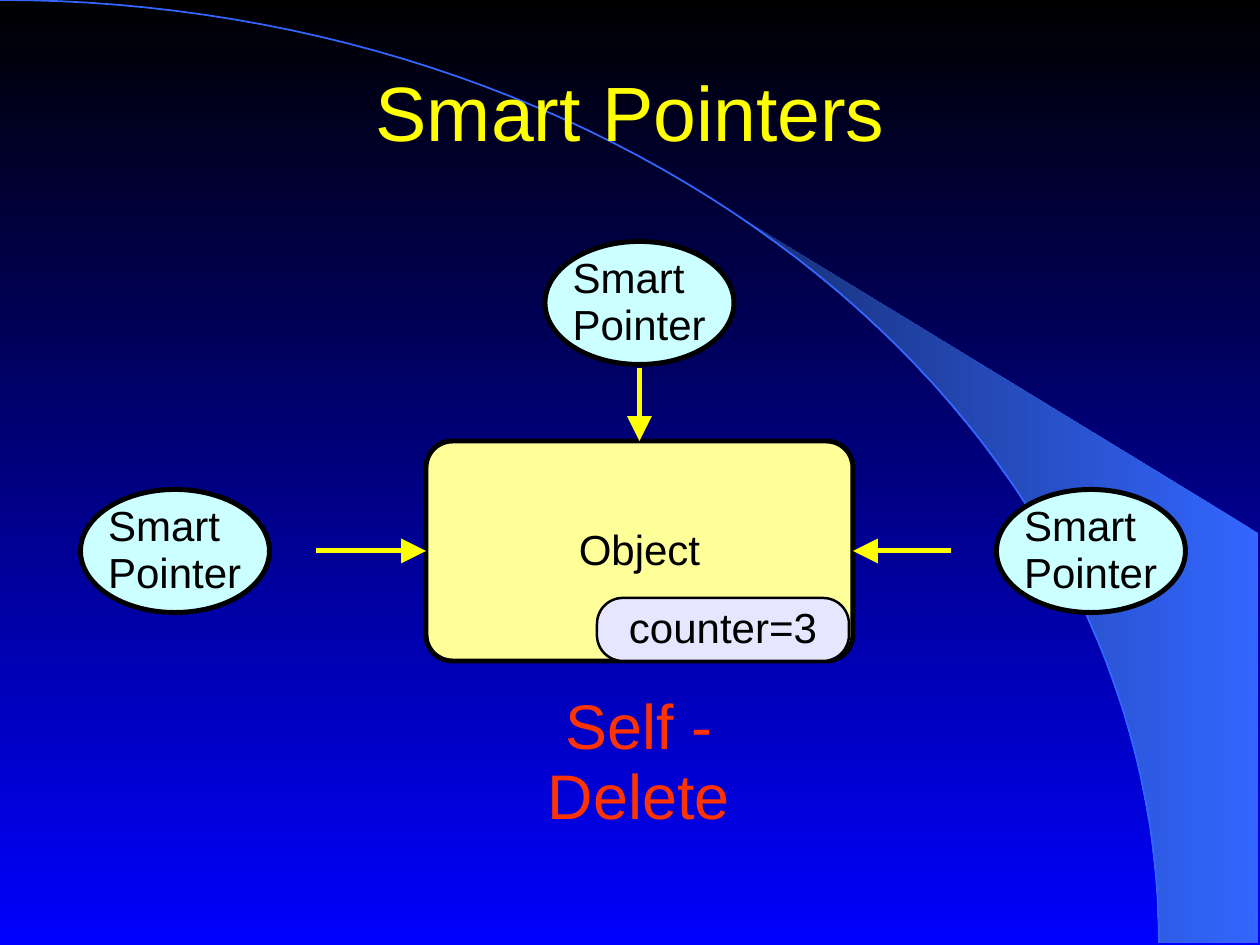
import math

from lxml import etree
from pptx import Presentation
from pptx import util as u
from pptx.dml.color import RGBColor
from pptx.enum import shapes, text
from pptx.oxml.ns import qn

PX = 914400 / 126  # EMU in one px
WIDTH, HEIGHT = 1260, 945

BLACK = RGBColor(0x00, 0x00, 0x00)
BLUE = RGBColor(0x00, 0x00, 0xFF)
SKY = RGBColor(0x33, 0x66, 0xFF)
NAVY = RGBColor(0x17, 0x2F, 0x75)
YELLOW = RGBColor(0xFF, 0xFF, 0x00)
CREAM = RGBColor(0xFF, 0xFF, 0x99)
AQUA = RGBColor(0xCC, 0xFF, 0xFF)
LAVENDER = RGBColor(0xE6, 0xE6, 0xFF)
RED = RGBColor(0xFF, 0x33, 0x00)

FONT = "Arial"
THICK, THIN = 2.83, 1.42
LEFT, CENTER = text.PP_ALIGN.LEFT, text.PP_ALIGN.CENTER


def emu(*lengths):
    return [u.Emu(round(length * PX)) for length in lengths]


def set_gradient(fill, first, last, angle):
    fill.gradient()
    fill.gradient_angle = angle
    for stop, color in zip(fill.gradient_stops, (first, last)):
        stop.color.rgb = color


def write(frame, lines, size, color, align=LEFT, inset=(0, 0),
          anchor=text.MSO_ANCHOR.MIDDLE, spacing=0.93, wrap=False):
    frame.word_wrap = wrap
    frame.vertical_anchor = anchor
    frame.margin_left, frame.margin_top = emu(*inset)
    frame.margin_right, frame.margin_bottom = emu(*inset)
    paragraph = frame.paragraphs[0]
    paragraph.alignment = align
    paragraph.line_spacing = spacing
    for index, line in enumerate(lines):
        if index:
            paragraph.add_line_break()
        run = paragraph.add_run()
        run.text = line
        run.font.name = FONT
        run.font.size = u.Pt(size)
        run.font.color.rgb = color


def add_node(slide, kind, box, fill, lines, line_width=THICK, align=CENTER,
             inset=(0, 0), corner=None):
    node = slide.shapes.add_shape(kind, *emu(*box))
    node.shadow.inherit = False
    if corner is not None:
        node.adjustments[0] = corner
    node.fill.solid()
    node.fill.fore_color.rgb = fill
    node.line.color.rgb = BLACK
    node.line.width = u.Pt(line_width)
    write(node.text_frame, lines, 24, BLACK, align=align, inset=inset)


def add_arrow(slide, start, end):
    arrow = slide.shapes.add_connector(shapes.MSO_CONNECTOR.STRAIGHT, *emu(*start, *end))
    arrow.line.color.rgb = YELLOW
    arrow.line.width = u.Pt(THICK)
    etree.SubElement(arrow.line._get_or_add_ln(), qn("a:tailEnd"),
                     type="triangle", w="lg", len="lg")
    etree.SubElement(arrow._element.spPr, qn("a:effectLst"))


def add_backdrop(slide, box):
    """Quarter ellipse with a shaded beam along its outer side."""
    left, top, width, height = box

    def arc(degrees, steps):
        angles = [math.radians(degrees * step / steps) for step in range(steps + 1)]
        return [(left + width * math.cos(a), top + height * (1 - math.sin(a))) for a in angles]

    def outline(points, close):
        start, *rest = [emu(*point) for point in points]
        builder = slide.shapes.build_freeform(*start, scale=1.0)
        builder.add_line_segments(rest, close=close)
        shape = builder.convert_to_shape()
        shape.shadow.inherit = False
        return shape

    beam = outline(arc(50.2, 14) + [(left + width + 99, top + 533),
                                    (left + width + 99, top + height)], True)
    set_gradient(beam.fill, SKY, NAVY, 180)
    beam.line.fill.background()

    curve = outline(arc(90, 62), False)
    curve.fill.background()
    curve.line.color.rgb = SKY
    curve.line.width = u.Pt(1)

    # Both lie behind the title
    for position, shape in enumerate((beam, curve), start=2):
        slide.shapes._spTree.insert(position, shape._element)


def add_title(slide, box):
    title = slide.shapes.title
    title.left, title.top, title.width, title.height = emu(*box)
    write(title.text_frame, ["Smart Pointers"], 44, YELLOW,
          align=CENTER, spacing=1.0, wrap=True)


def add_object(slide, box):
    """Shared object body."""
    add_node(slide, shapes.MSO_SHAPE.ROUNDED_RECTANGLE, box, CREAM, ["Object"],
             inset=(13, 63), corner=0.12)


def add_counter(slide, box):
    """Reference counter in the lower right corner of the object box."""
    left, top, width, height = box
    add_node(slide, shapes.MSO_SHAPE.ROUNDED_RECTANGLE,
             (left + width - 256, top + height - 63, 252, 63), LAVENDER,
             ["counter=3"], line_width=THIN, inset=(0, 5), corner=0.41)


def add_pointers(slide, box):
    """Smart pointers left of, above and right of the object box."""
    left, top, width, height = box
    center, middle = left + width / 2, top + height / 2
    oval_width, oval_height = 189, 123
    pointers = [
        ((175, middle), (316, middle), (left, middle)),
        ((center, 303), (center, 368), (center, top)),
        ((1091, middle), (951, middle), (left + width, middle)),
    ]
    for (x, y), start, end in pointers:
        oval = (x - oval_width / 2, y - oval_height / 2, oval_width, oval_height)
        add_node(slide, shapes.MSO_SHAPE.OVAL, oval, AQUA, ["Smart", "Pointer"], align=LEFT)
        add_arrow(slide, start, end)


def add_caption(slide, box):
    caption = slide.shapes.add_textbox(*emu(*box))
    write(caption.text_frame, ["Self - Delete"], 36, RED, align=CENTER,
          anchor=text.MSO_ANCHOR.TOP)


def main():
    deck = Presentation()
    deck.slide_width, deck.slide_height = emu(WIDTH, HEIGHT)
    slide = deck.slides.add_slide(deck.slide_layouts[5])
    set_gradient(slide.background.fill, BLACK, BLUE, 270)

    object_box = (426, 441, 427, 220)
    add_backdrop(slide, (0, 0, 1159, 943))
    add_title(slide, (95, 16, 1071, 190))
    add_object(slide, object_box)
    add_pointers(slide, object_box)
    add_caption(slide, (466, 693, 346, 66))
    add_counter(slide, object_box)
    deck.save("out.pptx")


if __name__ == "__main__":
    main()
